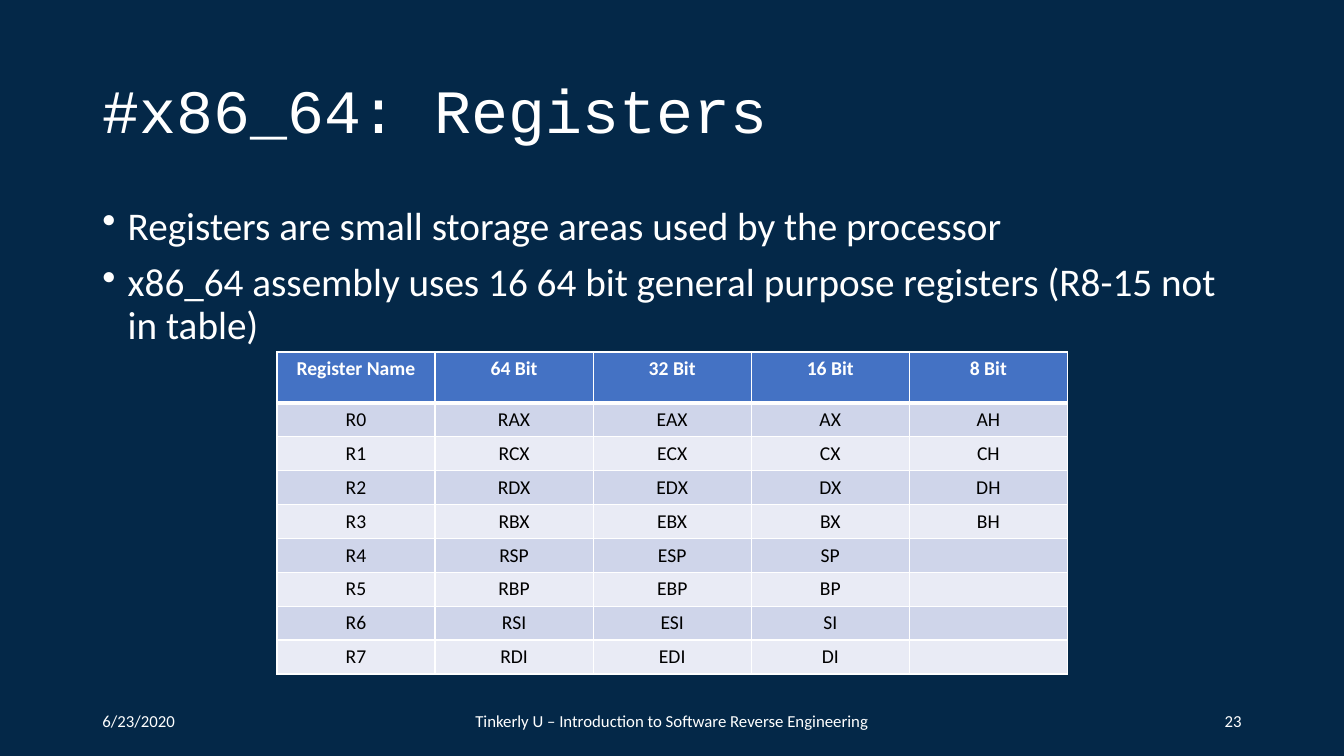
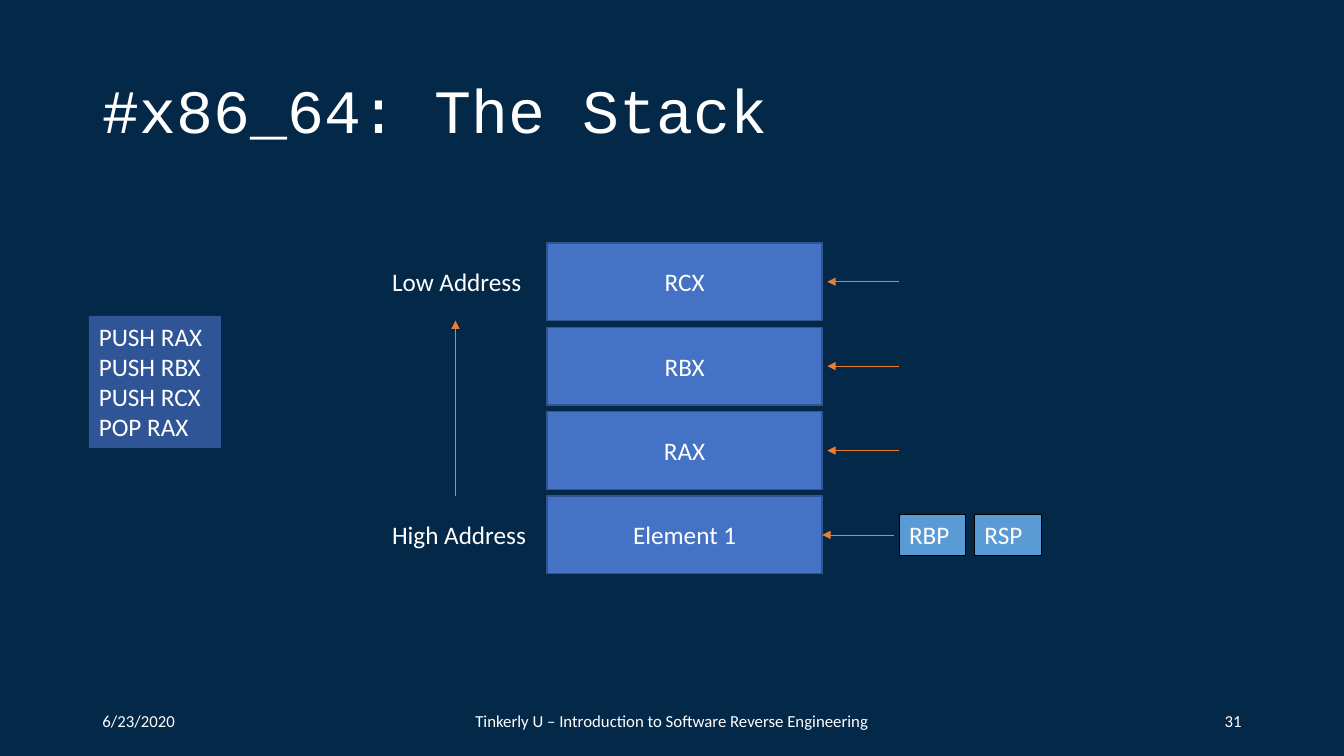
from dataclasses import dataclass

from lxml import etree
from pptx import Presentation
from pptx.dml.color import RGBColor
from pptx.enum.shapes import MSO_CONNECTOR, MSO_SHAPE
from pptx.enum.text import MSO_ANCHOR, PP_ALIGN
from pptx.oxml.ns import qn
from pptx.util import Cm, Pt

RECTANGLE = MSO_SHAPE.RECTANGLE
STRAIGHT = MSO_CONNECTOR.STRAIGHT
TOP, MIDDLE = MSO_ANCHOR.TOP, MSO_ANCHOR.MIDDLE
LEFT, CENTER, RIGHT = PP_ALIGN.LEFT, PP_ALIGN.CENTER, PP_ALIGN.RIGHT

COLORS = {
    "background": "042848",
    "white": "FFFFFF",
    "black": "000000",
    "blue": "4472C4",
    "blue_edge": "325491",
    "program": "2F5597",
    "pointer": "5B9BD5",
    "arrow": "ED7D31",
    "band_dark": "CFD5EA",
    "band_light": "E9EBF5",
}
BODY_FONT, TITLE_FONT = "Calibri", "Courier New"

DATE = "6/23/2020"
COURSE = "Tinkerly U – Introduction to Software Reverse Engineering"

REGISTER_NOTES = [
    "Registers are small storage areas used by the processor",
    "x86_64 assembly uses 16 64 bit general purpose registers (R8-15 not in table)",
]
REGISTERS = [
    ["Register Name", "64 Bit", "32 Bit", "16 Bit", "8 Bit"],
    ["R0", "RAX", "EAX", "AX", "AH"],
    ["R1", "RCX", "ECX", "CX", "CH"],
    ["R2", "RDX", "EDX", "DX", "DH"],
    ["R3", "RBX", "EBX", "BX", "BH"],
    ["R4", "RSP", "ESP", "SP", ""],
    ["R5", "RBP", "EBP", "BP", ""],
    ["R6", "RSI", "ESI", "SI", ""],
    ["R7", "RDI", "EDI", "DI", ""],
]
STACK = ["RCX", "RBX", "RAX", "Element 1"]
PROGRAM = ["PUSH RAX", "PUSH RBX", "PUSH RCX", "POP RAX"]
POINTERS = ["RBP", "RSP"]


@dataclass
class Box:
    left: float
    top: float
    width: float
    height: float

    def lengths(self):
        return [Cm(v) for v in (self.left, self.top, self.width, self.height)]


def rgb(name):
    return RGBColor.from_string(COLORS[name])


def add_bullet(paragraph):
    properties = paragraph._p.get_or_add_pPr()
    properties.set("marL", str(Cm(0.64)))
    properties.set("indent", str(-Cm(0.64)))
    etree.SubElement(properties, qn("a:buChar"), char="•")


def write_text(frame, lines, size=18, color="white", font=BODY_FONT, bold=False,
               align=LEFT, anchor=TOP, line_spacing=None, before=None,
               bullets=False, wrap=True):
    frame.word_wrap = wrap
    frame.vertical_anchor = anchor
    for index, line in enumerate(lines):
        paragraph = frame.paragraphs[0] if index == 0 else frame.add_paragraph()
        paragraph.alignment = align
        if line_spacing:
            paragraph.line_spacing = line_spacing
        if before:
            paragraph.space_before = Pt(before)
        if bullets:
            add_bullet(paragraph)
        if not line:
            etree.SubElement(paragraph._p, qn("a:endParaRPr"), sz=str(size * 100))
            continue
        run = paragraph.add_run()
        run.text = line
        run.font.size = Pt(size)
        run.font.name = font
        run.font.bold = bold
        run.font.color.rgb = rgb(color)


def add_text(slide, box, lines, **text_format):
    textbox = slide.shapes.add_textbox(*box.lengths())
    write_text(textbox.text_frame, lines, **text_format)


def add_block(slide, box, lines, fill, edge=None, edge_width=1, **text_format):
    block = slide.shapes.add_shape(RECTANGLE, *box.lengths())
    block.shadow.inherit = False
    block.fill.solid()
    block.fill.fore_color.rgb = rgb(fill)
    if edge:
        block.line.color.rgb = rgb(edge)
        block.line.width = Pt(edge_width)
    else:
        block.line.fill.background()
    write_text(block.text_frame, lines, **text_format)


def add_arrow(slide, start_x, start_y, end_x, end_y):
    arrow = slide.shapes.add_connector(
        STRAIGHT, Cm(start_x), Cm(start_y), Cm(end_x), Cm(end_y))
    arrow.line.color.rgb = rgb("arrow")
    arrow.line.width = Pt(0.5)
    properties = arrow._element.spPr
    etree.SubElement(properties.find(qn("a:ln")), qn("a:tailEnd"), type="triangle")
    etree.SubElement(properties, qn("a:effectLst"))


def set_borders(cell, **widths):
    properties = cell._tc.get_or_add_tcPr()
    for side in "LRTB":
        width = Pt(widths.get(side, 1))
        line = etree.SubElement(properties, qn(f"a:ln{side}"), w=str(width))
        fill = etree.SubElement(line, qn("a:solidFill"))
        etree.SubElement(fill, qn("a:srgbClr"), val=COLORS["white"])


def add_register_table(slide, box, header_height):
    row_count, column_count = len(REGISTERS), len(REGISTERS[0])
    table = slide.shapes.add_table(row_count, column_count, *box.lengths()).table
    row_height = (box.height - header_height) / (row_count - 1)
    for column in table.columns:
        column.width = Cm(box.width / column_count)
    for index, names in enumerate(REGISTERS):
        header = index == 0
        table.rows[index].height = Cm(header_height if header else row_height)
        band = "blue" if header else "band_dark" if index % 2 else "band_light"
        for cell, name in zip(table.rows[index].cells, names):
            set_borders(cell, T=3 if index == 1 else 1, B=3 if header else 1)
            cell.fill.solid()
            cell.fill.fore_color.rgb = rgb(band)
            write_text(cell.text_frame, [name], size=14, bold=header, align=CENTER,
                       color="white" if header else "black")


def add_footer(slide, box, number):
    side, middle = 7.62, 11.43
    parts = [
        (DATE, box.left, side, LEFT),
        (COURSE, box.left + (box.width - middle) / 2, middle, CENTER),
        (number, box.left + box.width - side, side, RIGHT),
    ]
    for text, left, width, align in parts:
        add_text(slide, Box(left, box.top, width, box.height), [text],
                 size=12, align=align, anchor=MIDDLE)


def add_base_slide(deck, title, number):
    slide = deck.slides.add_slide(deck.slide_layouts[6])
    add_text(slide, Box(2.33, 1.02, 29.21, 3.68), [title], size=44,
             font=TITLE_FONT, anchor=MIDDLE, line_spacing=0.9)
    add_footer(slide, Box(2.33, 17.65, 29.21, 1.02), number)
    return slide


def add_stack(slide, box):
    height, step = 1.96, (box.height - 1.96) / (len(STACK) - 1)
    label_height, label_left = 1.02, box.left - 4.16
    right = box.left + box.width
    pointer_left, pointer_step = right + 1.94, 1.9
    centers = [box.top + i * step + height / 2 for i in range(len(STACK))]

    for name, center in zip(STACK, centers):
        add_block(slide, Box(box.left, center - height / 2, box.width, height),
                  [name], "blue", "blue_edge", align=CENTER, anchor=MIDDLE)
        gap = 0 if center == centers[-1] else 0.13
        add_arrow(slide, right + 1.81 + gap, center, right + gap, center)

    for label, center in (("Low Address", centers[0]), ("High Address", centers[-1])):
        add_text(slide, Box(label_left, center - label_height / 2, 6.38, label_height),
                 [label])
    add_arrow(slide, box.left - 2.31, box.top + box.height - height,
              box.left - 2.31, box.top + height)

    for index, pointer in enumerate(POINTERS):
        add_block(slide, Box(pointer_left + index * pointer_step,
                             centers[-1] - label_height / 2, 1.68, label_height),
                  [pointer], "pointer", "black", 0.75, wrap=False)


def build_registers_slide(deck):
    slide = add_base_slide(deck, "#x86_64: Registers", "23")
    add_text(slide, Box(2.33, 5.08, 29.21, 12.09), REGISTER_NOTES, size=28,
             line_spacing=0.9, before=10, bullets=True)
    add_register_table(slide, Box(6.98, 8.87, 19.92, 8.12), 1.28)


def build_stack_slide(deck):
    slide = add_base_slide(deck, "#x86_64: The Stack", "31")
    add_stack(slide, Box(13.79, 6.12, 6.93, 8.34))
    add_block(slide, Box(2.24, 7.96, 3.33, 3.33), PROGRAM, "program")


def main():
    deck = Presentation()
    deck.slide_width, deck.slide_height = Cm(33.87), Cm(19.05)
    background = deck.slide_master.background.fill
    background.solid()
    background.fore_color.rgb = rgb("background")
    build_registers_slide(deck)
    build_stack_slide(deck)
    deck.save("out.pptx")


if __name__ == "__main__":
    main()
